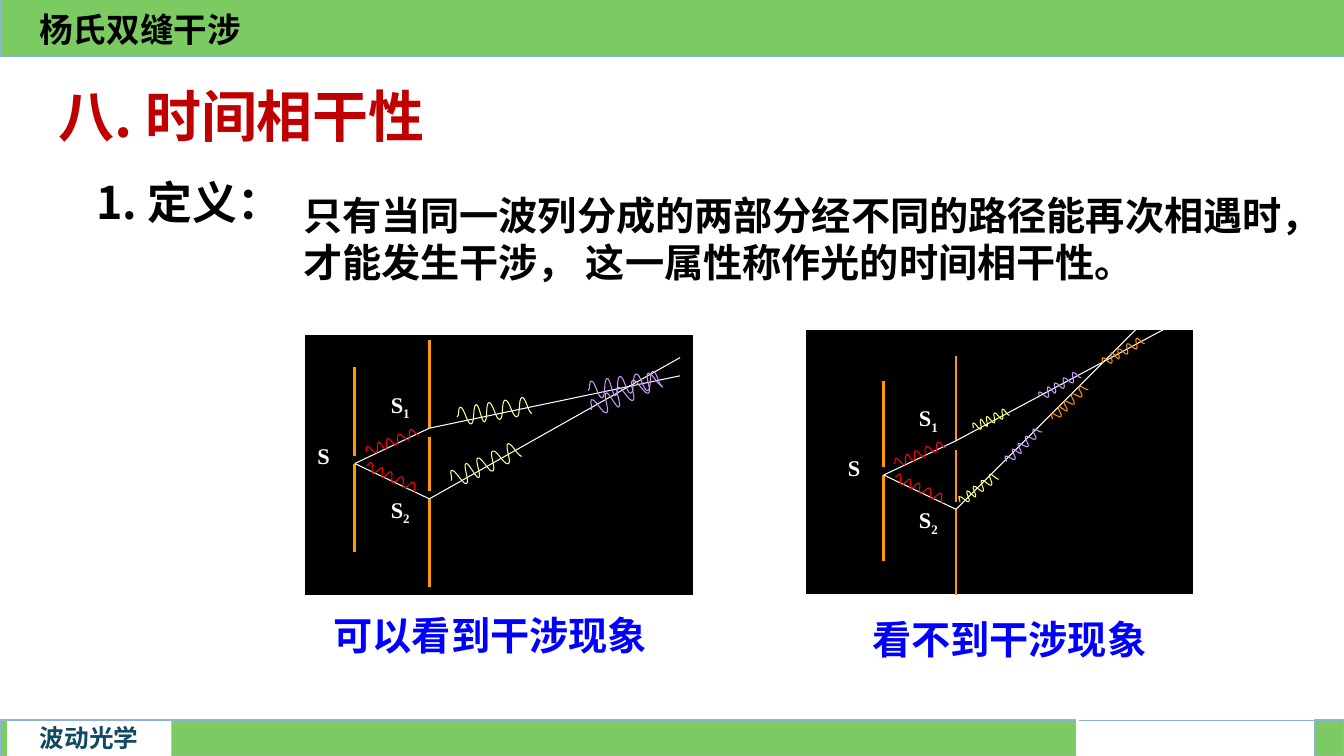
from dataclasses import dataclass

from lxml.etree import Element, SubElement
from pptx import Presentation
from pptx.dml.color import RGBColor
from pptx.enum.shapes import MSO_CONNECTOR, MSO_SHAPE
from pptx.enum.text import MSO_ANCHOR, PP_ALIGN
from pptx.oxml.ns import qn
from pptx.util import Cm, Pt


@dataclass(frozen=True)
class Theme:
    cjk_font: str = "Noto Sans CJK SC"
    latin_font: str = "Times New Roman"
    green: str = "7CCA62"
    edge: str = "8DB3DD"
    white: str = "FFFFFF"
    black: str = "000000"
    heading: str = "C00000"
    caption: str = "0000FF"
    footer: str = "114864"
    orange: str = "FF9900"
    red: str = "FF0000"
    pale_yellow: str = "FFFF99"
    yellow: str = "FFFF66"
    violet: str = "CC99FF"
    footer_size: float = 17.6
    title_size: float = 24
    heading_size: float = 40
    item_size: float = 32
    body_size: float = 28
    label_size: float = 16
    thin: float = 0.75
    thick: float = 2


THEME = Theme()
# Alternating crests and troughs of one wave train, as fractions of its box
WAVE_TURNS = [(0, 0.5), (0.06, 0), (0.17, 1), (0.28, 0), (0.35, 1), (0.45, 0),
              (0.56, 1), (0.67, 0), (0.79, 1), (0.9, 0), (1, 0.95)]


def color(value):
    return RGBColor.from_string(value)


def add_rectangle(slide, box, fill=None, line=None, width=THEME.thin):
    shape = slide.shapes.add_shape(MSO_SHAPE.RECTANGLE, *map(Cm, box))
    shape.shadow.inherit = False
    if fill:
        shape.fill.solid()
        shape.fill.fore_color.rgb = color(fill)
    else:
        shape.fill.background()
    if line:
        shape.line.color.rgb = color(line)
        shape.line.width = Pt(width)
    else:
        shape.line.fill.background()
    return shape


def add_line(slide, start, end, line, width=THEME.thin):
    connector = slide.shapes.add_connector(
        MSO_CONNECTOR.STRAIGHT, *map(Cm, (*start, *end)))
    connector.line.color.rgb = color(line)
    connector.line.width = Pt(width)
    SubElement(connector._element.spPr, qn("a:effectLst"))


def write_text(shape, text, size, ink, font=THEME.cjk_font, align=PP_ALIGN.LEFT,
               anchor=MSO_ANCHOR.TOP, spacing=None, wrap=True, subscript=""):
    frame = shape.text_frame
    frame.word_wrap = wrap
    frame.vertical_anchor = anchor
    paragraph = frame.paragraphs[0]
    paragraph.alignment = align
    if spacing:
        paragraph.line_spacing = spacing
    for content in filter(None, (text, subscript)):
        run = paragraph.add_run()
        run.text = content
        run.font.size = Pt(size)
        run.font.bold = True
        run.font.name = font
        run.font.color.rgb = color(ink)
        properties = run._r.get_or_add_rPr()
        SubElement(properties, qn("a:ea"), typeface=THEME.cjk_font)
        if content == subscript:
            properties.set("baseline", "-25000")


def add_text(slide, box, text, size, ink, **options):
    write_text(slide.shapes.add_textbox(*map(Cm, box)), text, size, ink, **options)


def round_turns(shape):
    """Turn the straight pieces of a freeform into curves, level at each vertex."""
    start, *ends = [(int(point.get("x")), int(point.get("y")))
                    for point in shape._element.iter(qn("a:pt"))]
    for segment, end in zip(list(shape._element.iter(qn("a:lnTo"))), ends):
        middle = (start[0] + end[0]) // 2
        curve = Element(qn("a:cubicBezTo"))
        for x, y in ((middle, start[1]), (middle, end[1]), end):
            SubElement(curve, qn("a:pt"), x=str(x), y=str(y))
        segment.getparent().replace(segment, curve)
        start = end


def add_wave(slide, center, size, angle, line):
    """Draw a wave train around its center, turned clockwise by angle degrees."""
    width, height = size
    left, top = center[0] - width / 2, center[1] - height / 2
    start, *turns = [(Cm(left + width * x), Cm(top + height * y))
                     for x, y in WAVE_TURNS]
    builder = slide.shapes.build_freeform(*start)
    builder.add_line_segments(turns, close=False)
    shape = builder.convert_to_shape()
    round_turns(shape)
    shape.shadow.inherit = False
    shape.fill.background()
    shape.line.color.rgb = color(line)
    shape.line.width = Pt(THEME.thin)
    shape.rotation = angle


def add_diagram(slide, box, source, scale, ray_ends, waves):
    """Draw the double slit; source, ray ends and waves are relative to the box."""
    left, top = box[:2]

    def in_box(point):
        return left + point[0], top + point[1]

    def from_source(x, y):
        return in_box((source[0] + x * scale, source[1] + y * scale))

    add_rectangle(slide, box, THEME.black, THEME.white)
    slit_x = 1.88
    for x, start, end in [(0, -2.44, -0.2), (0, 0, 2.24), (slit_x, -3.1, -0.89),
                          (slit_x, 0.89, 3.12), (slit_x, -0.66, 0.69)]:
        add_line(slide, from_source(x, start), from_source(x, end),
                 THEME.orange, THEME.thick)
    for x, y, width, subscript in [(-1.19, -0.66, 0.94, ""), (0.66, -1.96, 1.19, "1"),
                                   (0.66, 0.69, 1.19, "2")]:
        add_text(slide, (*from_source(x, y), width, 1.07), "S", THEME.label_size,
                 THEME.white, font=THEME.latin_font, wrap=bool(subscript),
                 subscript=subscript)
    for y, ray_end in zip((-0.89, 0.89), ray_ends):
        slit = from_source(slit_x, y)
        add_line(slide, from_source(0, 0), slit, THEME.white)
        add_line(slide, slit, in_box(ray_end), THEME.white)
    for y, angle in [(-0.55, -21.5), (0.34, 24.7)]:
        add_wave(slide, from_source(0.93, y), (1.4 * scale, 0.23 * scale), angle,
                 THEME.red)
    for center, size, angle, line in waves:
        add_wave(slide, in_box(center), size, angle, line)


def add_caption(slide, box, text):
    write_text(add_rectangle(slide, box, line=THEME.white), text, THEME.body_size,
               THEME.caption, font=THEME.latin_font, align=PP_ALIGN.CENTER)


def add_header(slide, box):
    left, top = box[:2]
    add_rectangle(slide, box, THEME.green, THEME.edge, 1)
    add_text(slide, (left + 0.74, top + 0.18, 11.1, 1.3), "杨氏双缝干涉",
             THEME.title_size, THEME.black, anchor=MSO_ANCHOR.MIDDLE, spacing=0.9)


def add_footer(slide, box):
    left, top, width, height = box
    end_width, gap = 0.74, 5.94
    end_left = left + width - end_width
    add_line(slide, (end_left - gap, top), (end_left, top), THEME.edge, 0.5)
    add_rectangle(slide, (left, top, 27.1, height), THEME.green, THEME.edge, 1)
    add_rectangle(slide, (end_left, top, end_width, height), THEME.green, THEME.edge, 1)
    tab = add_rectangle(slide, (left + 0.18, top + 0.03, 4.14, 0.99), THEME.white)
    write_text(tab, "波动光学", THEME.footer_size, THEME.footer,
               align=PP_ALIGN.CENTER, spacing=0.9)


def add_definition(slide, box):
    left, top, width, _ = box
    add_text(slide, (left, top, 21.5, 1.96), "八. 时间相干性",
             THEME.heading_size, THEME.heading)
    add_text(slide, (left + 0.96, top + 2.36, 21.84, 1.63), "1. 定义：",
             THEME.item_size, THEME.black)
    add_text(slide, (left + 6.17, top + 2.77, width - 6.17, 2.64),
             "只有当同一波列分成的两部分经不同的路径能再次相遇时，"
             "才能发生干涉， 这一属性称作光的时间相干性。",
             THEME.body_size, THEME.black)


def main():
    presentation = Presentation()
    presentation.slide_width, presentation.slide_height = Cm(33.87), Cm(19.05)
    slide = presentation.slides.add_slide(presentation.slide_layouts[6])
    add_footer(slide, (0, 18.14, 33.87, 0.91))
    add_header(slide, (0, -0.03, 34.04, 1.45))
    add_definition(slide, (1.22, 1.93, 32.05, 5.41))

    long_train, short_train = (1.88, 0.46), (1.17, 0.23)
    add_diagram(slide, (7.67, 8.43, 9.8, 6.58), (1.27, 3.25), 1,
                [(9.47, 1.04), (9.47, 0.58)],
                [((4.78, 1.93), long_train, -8.9, THEME.pale_yellow),
                 ((4.55, 3.28), long_train, -25.2, THEME.pale_yellow),
                 ((8.08, 1.27), long_train, -8.9, THEME.violet),
                 ((8.08, 1.5), long_train, -25.2, THEME.violet)])
    add_diagram(slide, (20.29, 8.31, 9.8, 6.68), (1.98, 3.66), 0.97,
                [(9.02, 0), (8.33, 0)],
                [((4.36, 4.01), (1.14, 0.25), -36, THEME.yellow),
                 ((4.67, 2.27), (0.97, 0.23), -25.2, THEME.yellow),
                 ((6.4, 1.41), short_train, -29.9, THEME.violet),
                 ((5.49, 2.91), short_train, -44.3, THEME.violet),
                 ((8, 0.55), short_train, -29.9, THEME.orange),
                 ((6.65, 1.84), short_train, -44.3, THEME.orange)])
    add_caption(slide, (7.59, 15.27, 9.53, 1.45), "可以看到干涉现象")
    add_caption(slide, (21.23, 15.37, 8.41, 1.45), "看不到干涉现象")
    presentation.save("out.pptx")


if __name__ == "__main__":
    main()
